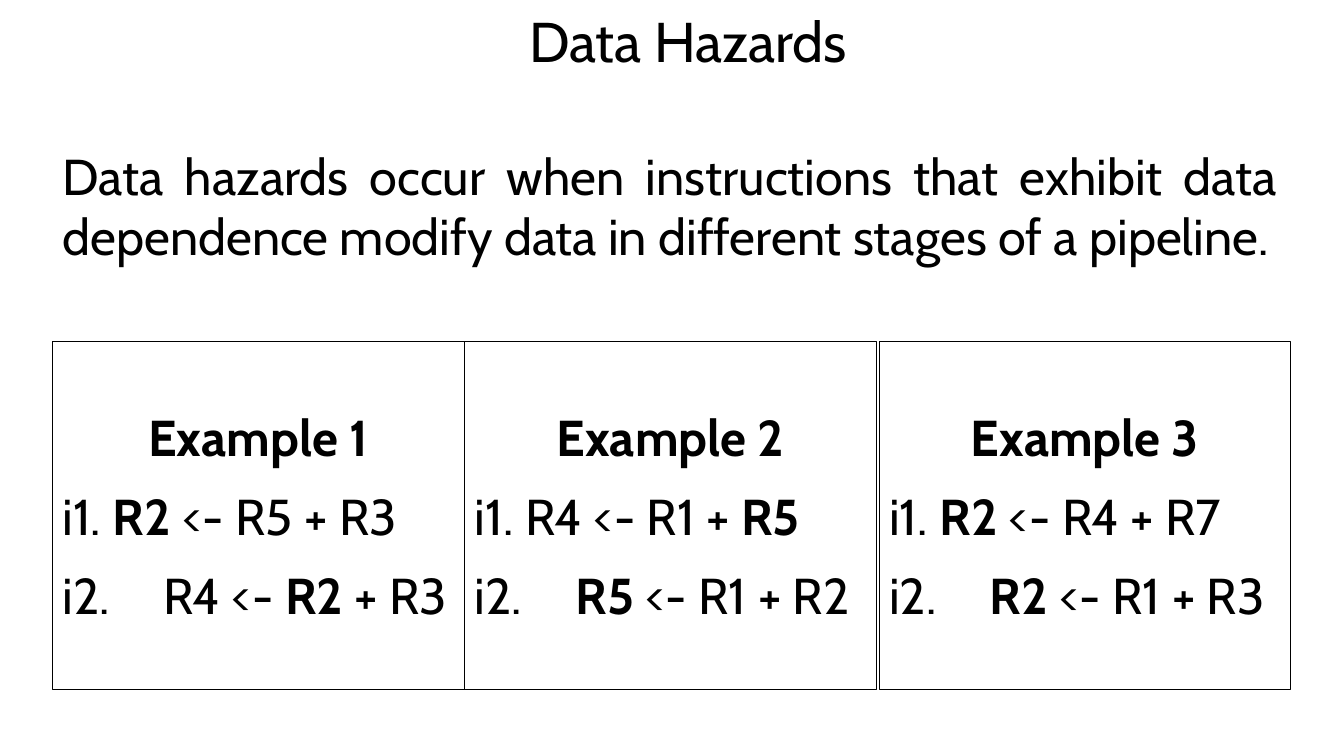
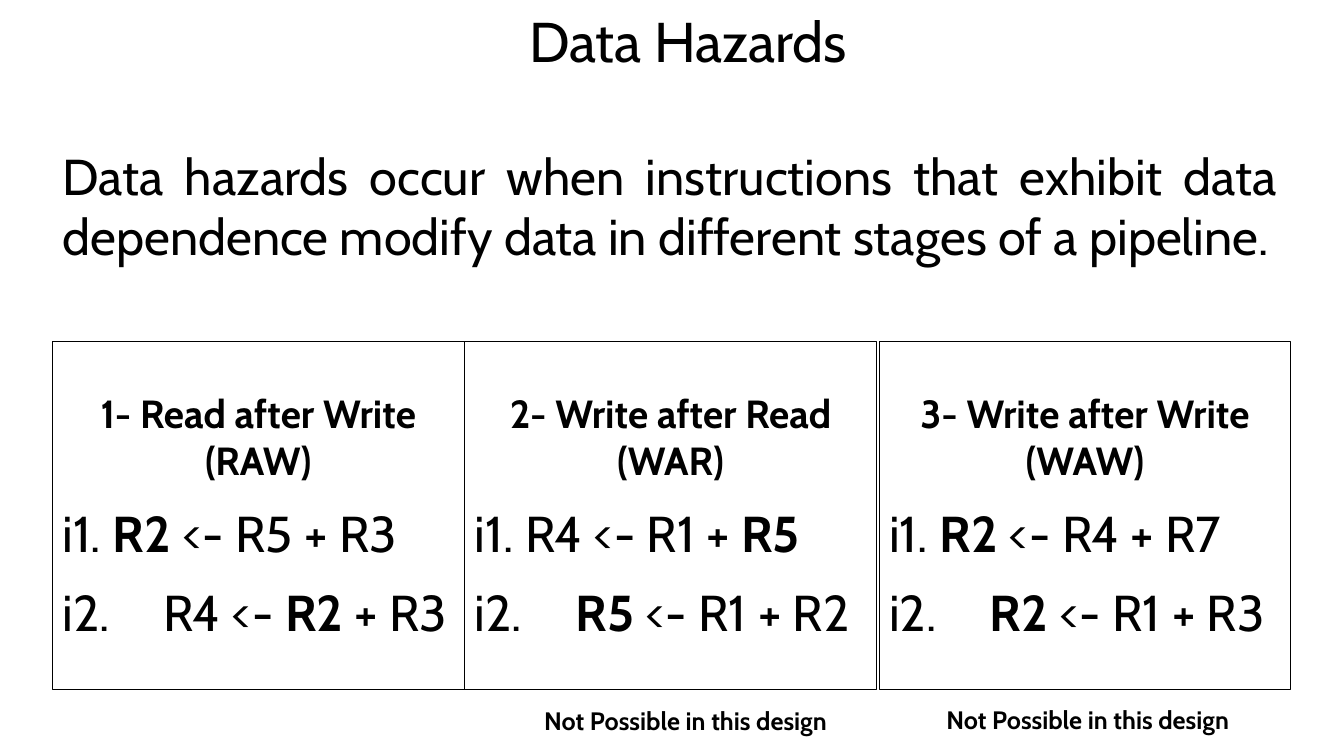
from pptx import Presentation
from pptx.dml.color import RGBColor
from pptx.enum.shapes import MSO_SHAPE
from pptx.enum.text import MSO_ANCHOR, MSO_AUTO_SIZE, PP_ALIGN
from pptx.oxml.ns import qn
from pptx.util import Pt
from lxml import etree

BLACK = RGBColor(0, 0, 0)
RECTANGLE = MSO_SHAPE.RECTANGLE
MIDDLE = MSO_ANCHOR.MIDDLE
TOP = MSO_ANCHOR.TOP
NO_FIT = MSO_AUTO_SIZE.NONE
GROW = MSO_AUTO_SIZE.SHAPE_TO_FIT_TEXT
LEFT, CENTER, JUSTIFY = PP_ALIGN.LEFT, PP_ALIGN.CENTER, PP_ALIGN.JUSTIFY

DEFINITION = ("Data hazards occur when instructions that exhibit data "
              "dependence modify data in different stages of a pipeline.")
INSTRUCTIONS = [
    ["i1. \t*R2* <- R5 + R3", "i2. \tR4 <- *R2* + R3"],
    ["i1. \tR4 <- R1 + *R5*", "i2. \t*R5* <- R1 + R2"],
    ["i1. \t*R2* <- R4 + R7", "i2. \t*R2* <- R1 + R3"],
]
EXAMPLES = ["Example 1", "Example 2", "Example 3"]
HAZARDS = ["1- Read after Write (RAW)", "2- Write after Read (WAR)",
           "3- Write after Write (WAW)"]
PANEL_LEFTS = [37.5, 332, 628]
CAPTION_SPOTS = [(381.6, 500.4), (668.9, 499.7)]


def assign(target, values):
    for name, value in values.items():
        setattr(target, name, value)


class Deck:
    FONT = "Cabin"
    TITLE_SIZE, BODY_SIZE, CAPTION_SIZE = 40, 36, 18
    TAB_STEP = 36

    def __init__(self):
        self.presentation = Presentation()
        assign(self.presentation, {"slide_width": Pt(960), "slide_height": Pt(540)})
        self.slide = None

    def add_slide(self, title, definition):
        layout = self.presentation.slide_layouts[1]
        self.slide = self.presentation.slides.add_slide(layout)
        heading, body = self.slide.placeholders
        self.place(heading, 97, 0, 789, 57.6)
        self.place(body, 37.5, 57.6, 882, 178.5)
        self.add_words(heading.text_frame.paragraphs[0], title, self.TITLE_SIZE, CENTER)
        statement = body.text_frame.paragraphs[0]
        self.add_words(statement, definition, self.BODY_SIZE, JUSTIFY)
        self.space(statement, self.BODY_SIZE)
        properties = statement._p.get_or_add_pPr()
        for name in ("marL", "indent"):
            properties.set(name, "0")
        etree.SubElement(properties, qn("a:buNone"))

    def place(self, holder, left, top, width, height):
        assign(holder, {"left": Pt(left), "top": Pt(top),
                        "width": Pt(width), "height": Pt(height)})
        assign(holder.text_frame, {"vertical_anchor": MIDDLE,
                                   "auto_size": NO_FIT, "word_wrap": True})

    def add_words(self, paragraph, marked, size, alignment):
        paragraph.alignment = alignment
        for position, words in enumerate(marked.split("*")):
            if words:
                run = paragraph.add_run()
                run.text = words
                assign(run.font, {"name": self.FONT, "size": Pt(size),
                                  "bold": position % 2 == 1})
                run.font.color.rgb = BLACK

    def space(self, paragraph, size):
        assign(paragraph, {"space_before": Pt(size * 0.2), "space_after": Pt(6)})

    def add_tabs(self, paragraph):
        stops = etree.SubElement(paragraph._p.get_or_add_pPr(), qn("a:tabLst"))
        for step in (1, 2):
            etree.SubElement(stops, qn("a:tab"),
                             pos=str(Pt(self.TAB_STEP * step)), algn="l")

    def add_panel(self, left, heading, heading_size, instructions):
        panel = self.slide.shapes.add_shape(
            RECTANGLE, Pt(left), Pt(244), Pt(294), Pt(248.5))
        panel.shadow.inherit = False
        panel.fill.background()
        panel.line.color.rgb = BLACK
        panel.line.width = Pt(0.75)
        frame = panel.text_frame
        assign(frame, {"vertical_anchor": MIDDLE, "word_wrap": True})
        label = frame.paragraphs[0]
        self.add_words(label, f"*{heading}*", heading_size, CENTER)
        self.space(label, heading_size)
        for instruction in instructions:
            line = frame.add_paragraph()
            self.add_words(line, instruction, self.BODY_SIZE, JUSTIFY)
            self.space(line, self.BODY_SIZE)
            self.add_tabs(line)

    def add_panels(self, headings, heading_size):
        for left, heading, instructions in zip(PANEL_LEFTS, headings, INSTRUCTIONS):
            self.add_panel(left, heading, heading_size, instructions)

    def add_caption(self, left, top, words):
        caption = self.slide.shapes.add_textbox(Pt(left), Pt(top), Pt(219.6), Pt(29))
        assign(caption.text_frame, {"vertical_anchor": TOP, "auto_size": GROW,
                                    "word_wrap": False})
        self.add_words(caption.text_frame.paragraphs[0], f"*{words}*",
                       self.CAPTION_SIZE, LEFT)


def main():
    deck = Deck()
    for headings, heading_size in ((EXAMPLES, 36), (HAZARDS, 28)):
        deck.add_slide("Data Hazards", DEFINITION)
        deck.add_panels(headings, heading_size)
    for left, top in CAPTION_SPOTS:
        deck.add_caption(left, top, "Not Possible in this design")
    deck.presentation.save("out.pptx")


if __name__ == "__main__":
    main()
